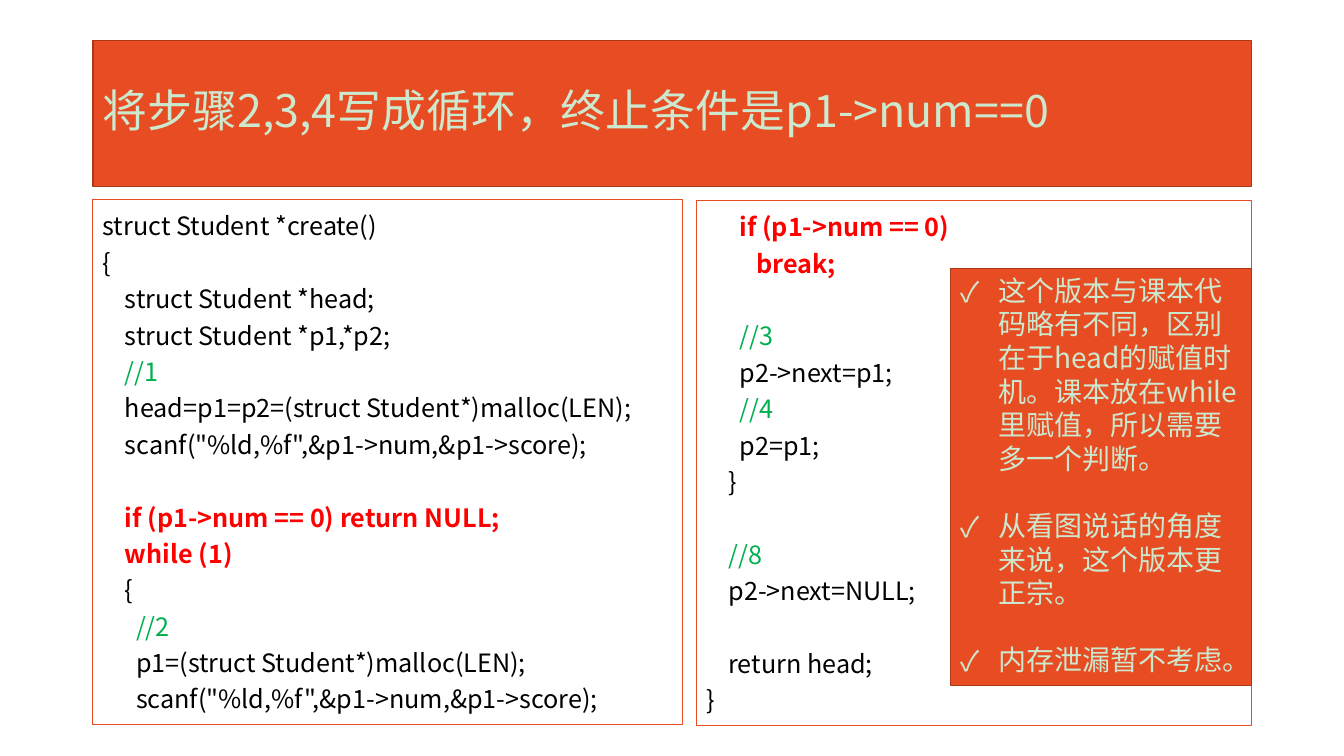
from lxml.etree import SubElement
from pptx import Presentation
from pptx.dml.color import RGBColor
from pptx.enum.shapes import MSO_SHAPE as Shape
from pptx.enum.text import MSO_ANCHOR as Anchor, PP_ALIGN as Align
from pptx.oxml.ns import qn
from pptx.util import Cm, Pt

FONT = "Noto Sans CJK SC"
ORANGE, RUST, MINT = "E84C22", "AC3819", "CCE8CF"
BLACK, GREEN, RED = "000000", "00B050", "FF0000"

TITLE = "将步骤2,3,4写成循环，终止条件是p1->num==0"

# Code lines: indent in columns, text; "" is an empty line
HEAD = [
    (0, "struct Student *create()"),
    (0, "{"),
    (4, "struct Student *head;"),
    (4, "struct Student *p1,*p2;"),
    (4, "//1"),
    (4, "head=p1=p2=(struct Student*)malloc(LEN);"),
    (4, 'scanf("%ld,%f",&p1->num,&p1->score);'),
    (0, ""),
    (4, "if (p1->num == 0) return NULL;"),
    (4, "while (1)"),
    (4, "{"),
    (6, "//2"),
    (6, "p1=(struct Student*)malloc(LEN);"),
    (6, 'scanf("%ld,%f",&p1->num,&p1->score);'),
]
TAIL = [
    (6, "if (p1->num == 0)"),
    (9, "break;"),
    (0, ""),
    (6, "//3"),
    (6, "p2->next=p1;"),
    (6, "//4"),
    (6, "p2=p1;"),
    (4, "}"),
    (0, ""),
    (4, "//8"),
    (4, "p2->next=NULL;"),
    (0, ""),
    (4, "return head;"),
    (0, "}"),
]
KEYS = ("if", "while", "break")
NOTES = [
    "这个版本与课本代码略有不同，区别在于head的赋值时机。课本放在while里赋值，所以需要多一个判断。",
    "从看图说话的角度来说，这个版本更正宗。",
    "内存泄漏暂不考虑。",
]

LEFT, RIGHT = 2.34, 31.54
COL = 0.14
HANG = 0.96
CODE_STEP, NOTE_STEP = 26, 24


def rgb(code):
    return RGBColor.from_string(code)


def box(slide, x, y, w, h, line, width, fill=None, anchor=Anchor.TOP):
    """Add a rectangle and return its text frame."""
    rect = slide.shapes.add_shape(Shape.RECTANGLE, Cm(x), Cm(y), Cm(w), Cm(h))
    rect.shadow.inherit = False
    rect.line.color.rgb = rgb(line)
    rect.line.width = Pt(width)
    if fill:
        rect.fill.solid()
        rect.fill.fore_color.rgb = rgb(fill)
    else:
        rect.fill.background()
    frame = rect.text_frame
    frame.word_wrap = True
    frame.vertical_anchor = anchor
    return frame


def write(frame, text, size, color, bold=False):
    """Add a paragraph, using the empty first one if it is free."""
    para = frame.paragraphs[0]
    if para.runs:
        para = frame.add_paragraph()
    para.alignment = Align.LEFT
    run = para.add_run()
    run.text = text
    font = run.font
    font.size, font.bold, font.name = Pt(size), bold, FONT
    font.color.rgb = rgb(color)
    SubElement(font._element, qn("a:ea"), typeface=FONT)
    return para


def code(frame, lines):
    gap = 0
    for cols, text in lines:
        if not text:
            gap += CODE_STEP
            continue
        key = text.startswith(KEYS)
        color = RED if key else GREEN if text.startswith("//") else BLACK
        para = write(frame, text, 18, color, key)
        para.line_spacing = Pt(CODE_STEP)
        para.space_before = Pt(gap)
        para._p.get_or_add_pPr().set("marL", str(Cm(cols * COL)))
        gap = 0


def tick(para):
    """Give the paragraph a check-mark bullet with a hanging indent."""
    props = para._p.get_or_add_pPr()
    props.set("marL", str(Cm(HANG)))
    props.set("indent", str(-Cm(HANG)))
    SubElement(props, qn("a:buFont"), typeface=FONT)
    SubElement(props, qn("a:buChar"), char="✓")


def main():
    deck = Presentation()
    deck.slide_width, deck.slide_height = Cm(33.87), Cm(19.05)
    slide = deck.slides.add_slide(deck.slide_layouts[6])

    title = box(slide, LEFT, 1.02, RIGHT - LEFT, 3.68, RUST, 1, ORANGE, Anchor.MIDDLE)
    write(title, TITLE, 32, MINT).line_spacing = 0.9

    code(box(slide, LEFT, 5.03, 14.86, 13.23, ORANGE, 0.75), HEAD)
    code(box(slide, 17.55, 5.05, RIGHT - 17.55, 13.23, ORANGE, 0.75), TAIL)

    notes = box(slide, 23.95, 6.76, RIGHT - 23.95, 10.52, RUST, 1, ORANGE)
    for i, text in enumerate(NOTES):
        para = write(notes, text, 20, MINT)
        para.line_spacing = Pt(NOTE_STEP)
        para.space_before = Pt(NOTE_STEP if i else 0)
        tick(para)

    deck.save("out.pptx")


if __name__ == "__main__":
    main()
